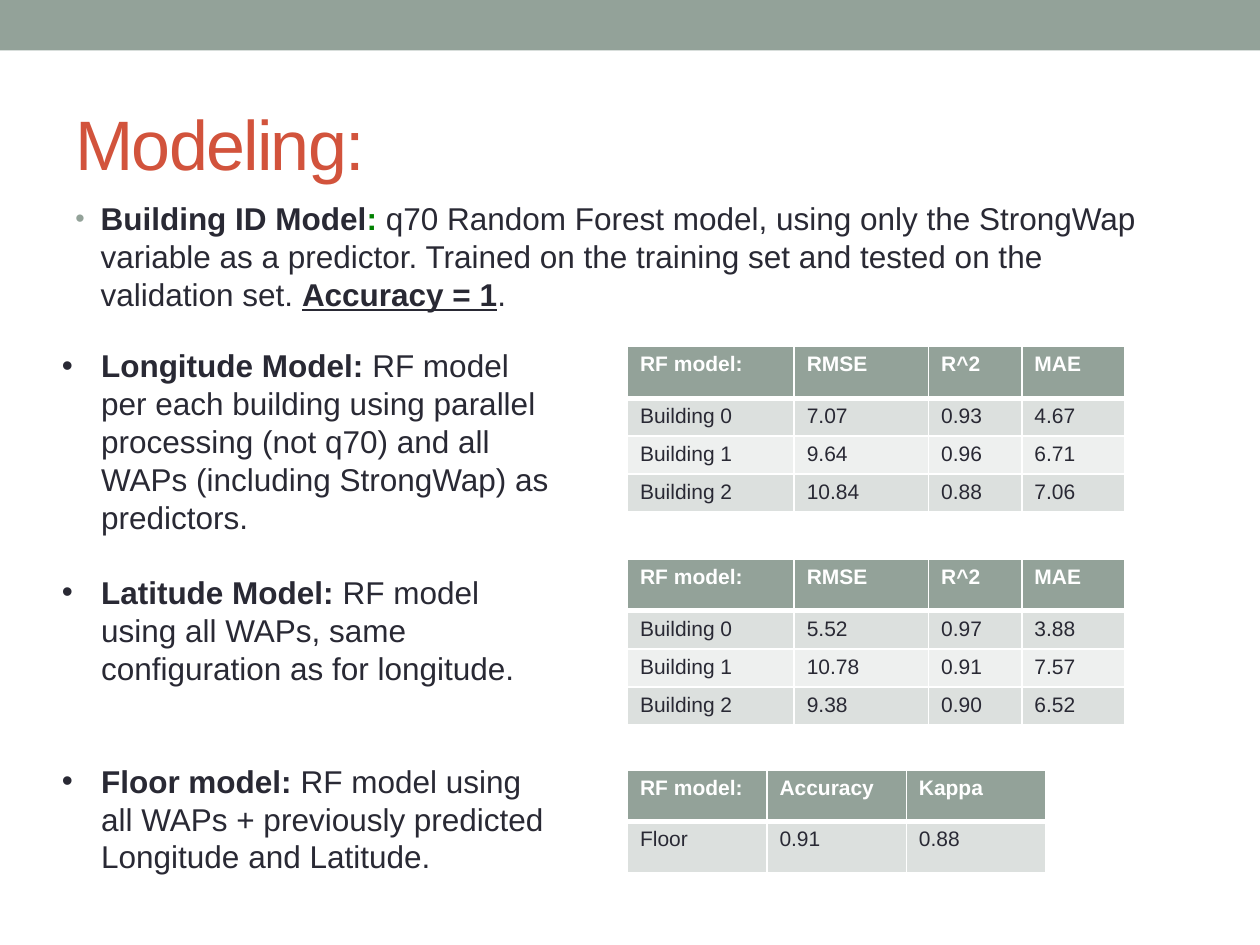
from dataclasses import dataclass

import pptx
import pptx.dml.color
import pptx.enum.shapes
import pptx.enum.text
import pptx.oxml
import pptx.oxml.ns
import pptx.util
from pptx.util import Cm


@dataclass(frozen=True)
class Theme:
    """Colours, font and type sizes of the slide."""
    font: str = "Arial"
    sage: str = "93A299"
    band_dark: str = "DCE0DE"
    band_light: str = "EEF0EF"
    red: str = "D2533C"
    green: str = "008000"
    ink: str = "292934"
    white: str = "FFFFFF"
    title_size: int = 40
    body_size: int = 18
    table_size: int = 12


THEME = Theme()


def rgb(colour):
    """Turn a hex string into a colour."""
    return pptx.dml.color.RGBColor.from_string(colour)


def add_xml(parent, xml):
    """Append a DrawingML element written as text."""
    namespace = pptx.oxml.ns.nsdecls("a")
    parent.append(pptx.oxml.parse_xml(xml.replace(" ", f" {namespace} ", 1)))


def style_font(font, size, colour, bold=None):
    """Set face, size, colour and weight."""
    font.name = THEME.font
    font.size = pptx.util.Pt(size)
    font.color.rgb = rgb(colour)
    font.bold = bold


def add_text_frame(slide, left, top, width, height):
    """Add a wrapping text box and return its frame."""
    frame = slide.shapes.add_textbox(Cm(left), Cm(top), Cm(width), Cm(height)).text_frame
    frame.word_wrap = True
    return frame


def add_banner(slide, width):
    """Draw the band along the top edge."""
    banner = slide.shapes.add_shape(
        pptx.enum.shapes.MSO_SHAPE.RECTANGLE, 0, 0, width, Cm(1.02))
    banner.shadow.inherit = False
    banner.fill.solid()
    banner.fill.fore_color.rgb = rgb(THEME.sage)
    banner.line.fill.background()


def add_title(slide, text):
    """Write the slide title with tightened letters."""
    frame = add_text_frame(slide, 1.27, 1.5, 22.86, 2.74)
    frame.vertical_anchor = pptx.enum.text.MSO_ANCHOR.MIDDLE
    heading = frame.paragraphs[0]
    style_font(heading.font, THEME.title_size, THEME.red)
    run = heading.add_run()
    run.text = text
    run.font._element.set("spc", "-100")


def write_bullet(paragraph, runs, indent, bullet_colour=THEME.ink, bullet_percent=100):
    """Fill a bulleted paragraph with (text, bold, underline, colour) runs."""
    style_font(paragraph.font, THEME.body_size, THEME.ink)
    properties = paragraph._p.get_or_add_pPr()
    properties.set("marL", str(Cm(indent)))
    properties.set("indent", str(-Cm(indent)))
    bullet = (f'<a:buClr ><a:srgbClr val="{bullet_colour}"/></a:buClr>',
              f'<a:buSzPct val="{bullet_percent * 1000}"/>',
              '<a:buFont typeface="Arial"/>', '<a:buChar char="•"/>')
    defaults = properties.find(pptx.oxml.ns.qn("a:defRPr"))
    properties.remove(defaults)
    for xml in bullet:
        add_xml(properties, xml)
    properties.append(defaults)
    for text, bold, underline, colour in runs:
        run = paragraph.add_run()
        run.text = text
        style_font(run.font, THEME.body_size, colour, bold)
        run.font.underline = underline


def add_building_model(slide):
    """Write the full-width paragraph on the building model."""
    frame = add_text_frame(slide, 1.27, 3.89, 22.86, 2.9)
    write_bullet(frame.paragraphs[0], [
        ("Building ID Model", True, False, THEME.ink),
        (": ", True, False, THEME.green),
        ("q70 Random Forest model, using only the StrongWap variable as a predictor. "
         "Trained on the training set and tested on the validation set. ",
         False, False, THEME.ink),
        ("Accuracy = 1", True, True, THEME.ink),
        (".", False, False, THEME.ink),
    ], 0.51, THEME.sage, 85)


def add_model_list(slide, models):
    """List (name, description, space before) models beside their tables."""
    frame = add_text_frame(slide, 1, 6.86, 10.44, 11.02)
    for index, (name, description, space) in enumerate(models):
        paragraph = frame.add_paragraph() if index else frame.paragraphs[0]
        paragraph.space_before = pptx.util.Pt(space)
        write_bullet(paragraph, [(name, True, False, THEME.ink),
                                 (description, False, False, THEME.ink)], 0.79)


def style_cell(cell, text, fill, colour, bold, bottom_width):
    """Fill one cell and give it white borders."""
    cell.text = text
    style_font(cell.text_frame.paragraphs[0].font, THEME.table_size, colour, bold)
    properties = cell._tc.get_or_add_tcPr()
    for side, width in (("L", 1), ("R", 1), ("T", 1), ("B", bottom_width)):
        add_xml(properties, f'<a:ln{side} w="{pptx.util.Pt(width)}"><a:solidFill>'
                            f'<a:srgbClr val="{THEME.white}"/></a:solidFill></a:ln{side}>')
    cell.fill.solid()
    cell.fill.fore_color.rgb = rgb(fill)


def add_results(slide, top, widths, header_height, row_height, rows):
    """Add a table of scores: a header and banded rows."""
    heights = [header_height] + [row_height] * (len(rows) - 1)
    table = slide.shapes.add_table(len(rows), len(widths), Cm(12.65), Cm(top),
                                   Cm(sum(widths)), Cm(sum(heights))).table
    for column, width in zip(table.columns, widths):
        column.width = Cm(width)
    for index, (values, height) in enumerate(zip(rows, heights)):
        table.rows[index].height = Cm(height)
        if index == 0:
            look = (THEME.sage, THEME.white, True, 3)
        else:
            band = THEME.band_dark if index % 2 else THEME.band_light
            look = (band, THEME.ink, False, 1)
        for cell, value in zip(table.rows[index].cells, values):
            style_cell(cell, value, *look)


def main():
    """Build the slide and save it."""
    deck = pptx.Presentation()
    deck.slide_width, deck.slide_height = Cm(25.4), Cm(19.05)
    slide = deck.slides.add_slide(deck.slide_layouts[6])
    add_banner(slide, deck.slide_width)
    add_title(slide, "Modeling:")
    add_building_model(slide)
    add_model_list(slide, [
        ("Longitude Model: ", "RF model per each building using parallel processing "
         "(not q70) and all WAPs (including StrongWap) as predictors.", 0),
        ("Latitude Model: ", "RF model using all WAPs, same configuration as for "
         "longitude.", 21.5),
        ("Floor model: ", "RF model using all WAPs + previously predicted Longitude "
         "and Latitude.", 43),
    ])
    score_widths = (3.36, 2.71, 1.88, 2.07)
    score_header = ("RF model:", "RMSE", "R^2", "MAE")
    add_results(slide, 6.97, score_widths, 1.06, 0.73, [
        score_header,
        ("Building 0", "7.07", "0.93", "4.67"),
        ("Building 1", "9.64", "0.96", "6.71"),
        ("Building 2", "10.84", "0.88", "7.06"),
    ])
    add_results(slide, 11.28, score_widths, 1.03, 0.77, [
        score_header,
        ("Building 0", "5.52", "0.97", "3.88"),
        ("Building 1", "10.78", "0.91", "7.57"),
        ("Building 2", "9.38", "0.90", "6.52"),
    ])
    add_results(slide, 15.53, (2.81, 2.81, 2.81), 1.03, 1.03, [
        ("RF model:", "Accuracy", "Kappa"),
        ("Floor", "0.91", "0.88"),
    ])
    deck.save("out.pptx")


main()
